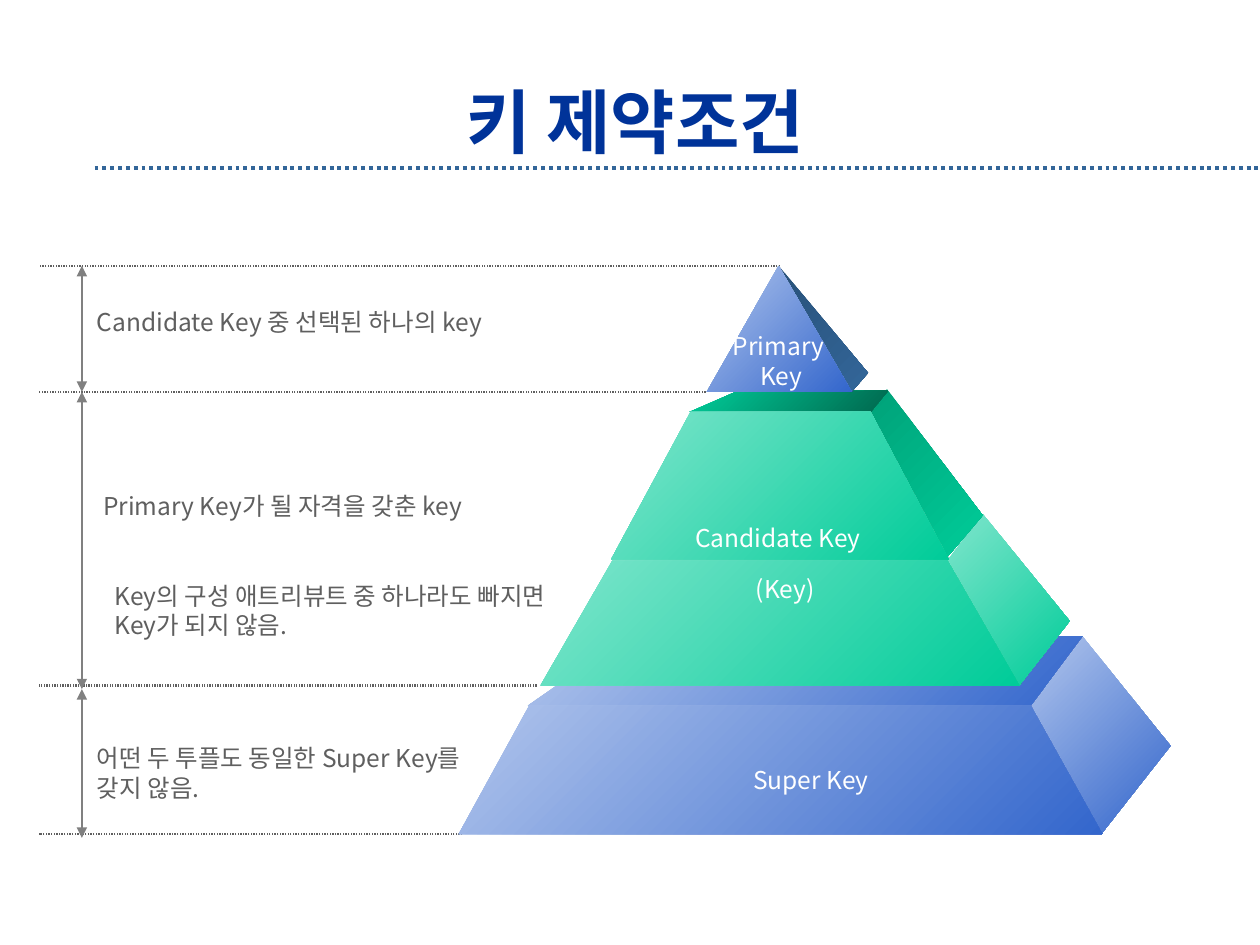
from lxml.etree import SubElement
from pptx import Presentation
from pptx.dml.color import RGBColor
from pptx.enum.dml import MSO_LINE
from pptx.enum.shapes import MSO_CONNECTOR
from pptx.enum.text import MSO_ANCHOR, MSO_AUTO_SIZE, PP_ALIGN
from pptx.oxml.ns import qn
from pptx.util import Inches, Pt

FONT = "Noto Sans CJK KR"
WHITE = RGBColor(0xFF, 0xFF, 0xFF)
TITLE_BLUE = RGBColor(0x00, 0x33, 0x99)
STEEL = RGBColor(0x33, 0x66, 0x99)
DARK_STEEL = RGBColor(0x28, 0x51, 0x79)
TEXT_GRAY = RGBColor(0x5F, 0x5F, 0x5F)
ARROW_GRAY = RGBColor(0x80, 0x80, 0x80)
PALE_BLUE = RGBColor(0xB1, 0xC5, 0xEC)
BLUE = RGBColor(0x33, 0x66, 0xCC)
PALE_GREEN = RGBColor(0x7F, 0xE5, 0xCC)
GREEN = RGBColor(0x00, 0xCC, 0x99)
MID_GREEN = RGBColor(0x00, 0xA2, 0x79)
DARK_GREEN = RGBColor(0x00, 0x68, 0x4E)

# The slide is a grid of 100 columns by 75 rows; a box is (column, row, columns, rows).
SLIDE_W, SLIDE_H = Inches(10), Inches(7.5)
CELL = SLIDE_W // 100
TITLE_BOX = (7.5, 6.7, 92.5, 6.6)
NOTES_BOX = (3.1, 21.1, 58.8, 45.2)
PYRAMID_BOX = (36.4, 21.1, 56.5, 45.1)

BLUE_FADE = (PALE_BLUE, BLUE)
GREEN_FADE = (PALE_GREEN, GREEN)

# Faces from back to front: gradient, then corners as offsets in the pyramid box.
FACES = [
    (BLUE_FADE, [(51, 45.1), (45.4, 34.9), (49.5, 29.4), (56.5, 38.1)]),
    (BLUE_FADE, [(5.5, 34.9), (45.4, 34.9), (49.5, 29.4), (13.4, 29.4)]),
    (BLUE_FADE, [(0, 45.1), (51.1, 45.1), (45.4, 34.9), (5.6, 34.9)]),
    (GREEN_FADE, [(38.8, 23.4), (44.5, 33.3), (48.5, 28.2), (41.6, 19.7)]),
    (GREEN_FADE, [(6.5, 33.3), (44.5, 33.3), (38.8, 23.4), (12.2, 23.4)]),
    ((MID_GREEN, GREEN),
     [(39.4, 22.4), (41.6, 19.8), (34, 9.8), (32.6, 11.6), (38.7, 23.2)]),
    ((GREEN, DARK_GREEN), [(18.3, 11.6), (32.7, 11.6), (34.1, 9.9), (22, 10)]),
    (GREEN_FADE, [(12.1, 23.3), (38.9, 23.3), (32.7, 11.6), (18.4, 11.6)]),
    ((DARK_STEEL, STEEL), [(31.2, 10), (32.5, 8.5), (25.4, 0)]),
    (BLUE_FADE, [(19.7, 10), (31.2, 10), (25.4, 0)]),
]
# Labels: box inside the pyramid, alignment, lines.
LABELS = [
    ((20.5, 4.7, 10.2, 5.7), PP_ALIGN.CENTER, ["Primary ", "Key"]),
    ((17.8, 19.9, 15.4, 3.4), PP_ALIGN.LEFT, ["Candidate Key"]),
    ((22.6, 24, 6.8, 3.4), PP_ALIGN.LEFT, ["(Key)"]),
    ((22.4, 39.1, 11.5, 3.4), PP_ALIGN.LEFT, ["Super Key"]),
]
# Notes: box inside the notes region, lines.
NOTES = [
    ((3.6, 2.8, 35.1, 3.4), ["Candidate Key 중 선택된 하나의 key"]),
    ((4.1, 17.4, 33.5, 3.4), ["Primary Key가 될 자격을 갖춘 key"]),
    ((5, 24.5, 39.6, 5.7), ["Key의 구성 애트리뷰트 중 하나라도 빠지면", "Key가 되지 않음."]),
    ((3.6, 37.4, 34.2, 5.7), ["어떤 두 투플도 동일한 Super Key를", "갖지 않음."]),
]
RULES = [(0, 58.8), (10, 52.9), (33.3, 39.5), (45.1, 33.6)]  # row, length
ARROW_COL = 3.4
ARROW_ROWS = [0, 10, 33.6, 45.4]


def cells(n):
    return round(n * CELL)


def inside(box, part):
    """Shift a part's box from region offsets to slide positions."""
    return (box[0] + part[0], box[1] + part[1], *part[2:])


def add_line(slide, start, end, color, width):
    line = slide.shapes.add_connector(
        MSO_CONNECTOR.STRAIGHT, *map(cells, (*start, *end)))
    line.line.color.rgb = color
    line.line.width = Pt(width)
    SubElement(line._element.spPr, qn("a:effectLst"))
    return line


def add_text(slide, box, lines, color, size=14, align=PP_ALIGN.LEFT):
    tf = slide.shapes.add_textbox(*map(cells, box)).text_frame
    tf.word_wrap = False
    tf.auto_size = MSO_AUTO_SIZE.SHAPE_TO_FIT_TEXT
    tf.text = "\n".join(lines)
    for p in tf.paragraphs:
        p.alignment = align
        p.font.name, p.font.size, p.font.color.rgb = FONT, Pt(size), color
        for r in p.runs:
            SubElement(r._r.get_or_add_rPr(), qn("a:ea"), typeface=FONT)
    return tf


def add_face(slide, points, colors):
    corners = [(cells(x), cells(y)) for x, y in points]
    builder = slide.shapes.build_freeform(*corners[0])
    builder.add_line_segments(corners[1:], close=True)
    sp = builder.convert_to_shape()
    sp.shadow.inherit = False
    sp.line.fill.background()
    sp.fill.gradient()
    sp.fill.gradient_angle = 315
    for stop, color in zip(sp.fill.gradient_stops, colors):
        stop.color.rgb = color


def add_title(slide, box):
    x, y, w, h = box
    rule = add_line(slide, (x, y + h), (x + w, y + h), STEEL, 2.25)
    rule.line.dash_style = MSO_LINE.ROUND_DOT
    tf = add_text(slide, (x, y, 85.8, 5.8), ["키 제약조건"], TITLE_BLUE, 40,
                  PP_ALIGN.CENTER)
    tf.auto_size = MSO_AUTO_SIZE.NONE
    tf.word_wrap = True
    tf.vertical_anchor = MSO_ANCHOR.MIDDLE
    tf.paragraphs[0].font.bold = True


def add_notes(slide, box):
    """Dotted level rules, the arrows between them and the explanations."""
    x, y = box[:2]
    for row, length in RULES:
        rule = add_line(slide, (x + length, y + row), (x, y + row), TEXT_GRAY, 1.5)
        dash = SubElement(rule.line._get_or_add_ln(), qn("a:custDash"))
        SubElement(dash, qn("a:ds"), d="50000", sp="50000")
    for top, bottom in zip(ARROW_ROWS, ARROW_ROWS[1:]):
        arrow = add_line(slide, (x + ARROW_COL, y + top), (x + ARROW_COL, y + bottom),
                         ARROW_GRAY, 0.75)
        for end in ("a:headEnd", "a:tailEnd"):
            SubElement(arrow.line._get_or_add_ln(), qn(end), type="triangle")
    for part, lines in NOTES:
        add_text(slide, inside(box, part), lines, TEXT_GRAY)


def add_pyramid(slide, box):
    for colors, points in FACES:
        add_face(slide, [inside(box, point) for point in points], colors)
    for part, align, lines in LABELS:
        add_text(slide, inside(box, part), lines, WHITE, align=align)


def main():
    prs = Presentation()
    prs.slide_width, prs.slide_height = SLIDE_W, SLIDE_H
    slide = prs.slides.add_slide(prs.slide_layouts[6])
    add_title(slide, TITLE_BOX)
    add_notes(slide, NOTES_BOX)
    add_pyramid(slide, PYRAMID_BOX)
    prs.save("out.pptx")


if __name__ == "__main__":
    main()
